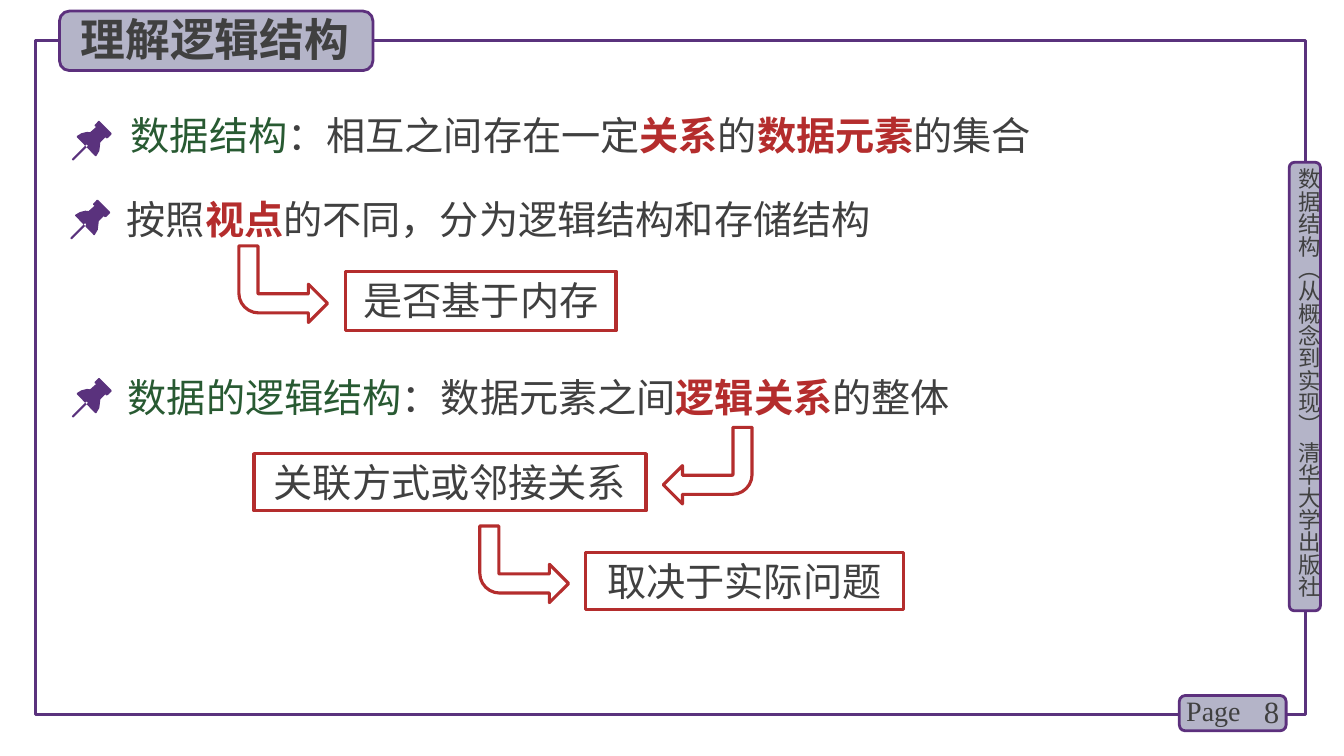
"""Build the slide on understanding logical structure."""
import lxml.etree
import pptx
import pptx.dml.color
import pptx.enum.shapes
import pptx.enum.text
import pptx.oxml.ns
import pptx.util

Pt = pptx.util.Pt
RGBColor = pptx.dml.color.RGBColor
Shape = pptx.enum.shapes.MSO_SHAPE
Align = pptx.enum.text.PP_ALIGN
Anchor = pptx.enum.text.MSO_ANCHOR

PURPLE = RGBColor(0x5A, 0x32, 0x7D)
EDGE = RGBColor(0x5C, 0x30, 0x7D)
LILAC = RGBColor(0xB4, 0xB4, 0xC8)
GRAY = RGBColor(0x40, 0x40, 0x40)
GREEN = RGBColor(0x28, 0x5A, 0x32)
RED = RGBColor(0xB4, 0x2D, 0x2D)

CHINESE = "Noto Sans CJK SC"
LATIN = "Times New Roman"

PIN_HEAD = [
    (28.2, 8.6), (19.6, 0), (19, 0), (16.2, 2.9), (16.2, 3.6), (17.3, 4.3),
    (13, 8.1), (10.8, 7.8), (6.8, 8.8), (3.5, 10.8), (3.5, 11.5),
    (16.7, 25.2), (17.4, 25.2), (19.6, 21.4), (20.3, 15.3), (23.9, 11.7),
    (24.6, 12.4), (25.7, 12.2), (28.4, 9.4),
]
PIN_NEEDLE = [
    (1.2, 28.1), (0.5, 28.1), (0, 27.4), (0.4, 26.8), (10, 17.1),
    (10.5, 16.8), (11.1, 17.2), (11.3, 17.8), (10.8, 18.5),
]


class SlidePainter:
    def __init__(self, page):
        self.page = page

    def shape(self, kind, place, line, width, fill=None):
        shape = self.page.shapes.add_shape(kind, *map(Pt, place))
        shape.shadow.inherit = False
        shape.line.color.rgb = line
        shape.line.width = Pt(width)
        if fill is None:
            shape.fill.background()
        else:
            shape.fill.solid()
            shape.fill.fore_color.rgb = fill
        return shape

    def plate(self, *place):
        return self.shape(Shape.ROUNDED_RECTANGLE, place, EDGE, 2, LILAC)

    def add_spans(self, box, spans, size=28, face=CHINESE, align=Align.LEFT, anchor=Anchor.TOP):
        frame = box.text_frame
        frame.word_wrap = True
        frame.vertical_anchor = anchor
        para = frame.paragraphs[0]
        para.alignment = align
        for text, color, bold in spans:
            span = para.add_run()
            span.text = text
            span.font.size = Pt(size)
            span.font.bold = bold
            span.font.color.rgb = color
            span.font.name = face
            east = lxml.etree.SubElement(span.font._element, pptx.oxml.ns.qn("a:ea"))
            east.set("typeface", face)

    def text(self, place, spans, **style):
        box = self.page.shapes.add_textbox(*map(Pt, place))
        self.add_spans(box, spans, **style)
        return box

    def side_text(self, place, spans, size):
        box = self.text(place, spans, size=size)
        frame = box.text_frame
        frame.margin_left = frame.margin_right = 0
        frame.margin_top = frame.margin_bottom = 0
        frame._txBody.bodyPr.set("vert", "eaVert")

    def pin(self, left, top):
        def placed(points):
            return [(Pt(left + x), Pt(top + y)) for x, y in points]

        head, needle = placed(PIN_HEAD), placed(PIN_NEEDLE)
        builder = self.page.shapes.build_freeform(*head[0])
        builder.add_line_segments(head[1:])
        builder.move_to(*needle[0])
        builder.add_line_segments(needle[1:])
        pin = builder.convert_to_shape()
        pin.shadow.inherit = False
        pin.fill.solid()
        pin.fill.fore_color.rgb = PURPLE
        pin.line.fill.background()

    def note(self, place, text):
        box = self.shape(Shape.RECTANGLE, place, RED, 2.25)
        self.add_spans(box, [(text, GRAY, False)], align=Align.CENTER)

    def arrow(self, left, top, to_left=False):
        arrow = self.shape(Shape.BENT_ARROW, (left, top, 63.4, 54.7), RED, 2.25)
        arrow.adjustments[3] = 0.26
        frame = arrow.element.spPr.find(pptx.oxml.ns.qn("a:xfrm"))
        frame.set("flipV", "1")
        if to_left:
            frame.set("flipH", "1")


def main():
    deck = pptx.Presentation()
    deck.slide_width, deck.slide_height = Pt(960), Pt(540)
    painter = SlidePainter(deck.slides.add_slide(deck.slide_layouts[6]))

    painter.shape(Shape.RECTANGLE, (25.2, 28.8, 907.2, 481.7), PURPLE, 2.25)
    painter.plate(920.9, 115.9, 22.3, 320.4)
    painter.side_text((925.2, 120.2, 19.4, 323.3),
                      [("数据结构（从概念到实现） 清华大学出版社", GRAY, False)], 16)
    painter.plate(842.4, 496.8, 76.3, 25.2)
    painter.text((878.4, 493.9, 42.5, 28.8), [("8", GRAY, False)],
                 size=22, face=LATIN, align=Align.RIGHT, anchor=Anchor.MIDDLE)
    painter.text((840.2, 491.8, 56.2, 31.7), [("Page", GRAY, False)], size=20, face=LATIN)
    painter.plate(42.5, 7.9, 223.9, 42.5)
    painter.text((50.4, 5, 217.4, 46.1), [("理解逻辑结构", GRAY, True)], size=32)

    points = [
        ((51.4, 86.4), (86.4, 76.3, 691.2, 43.2), [
            ("数据结构", GREEN, False), ("：相互之间存在一定", GRAY, False),
            ("关系", RED, True), ("的", GRAY, False),
            ("数据元素", RED, True), ("的集合", GRAY, False)]),
        ((50.3, 142.7), (83.5, 136.1, 673.2, 45.4), [
            ("按照", GRAY, False), ("视点", RED, True),
            ("的不同，分为逻辑结构和存储结构", GRAY, False)]),
        ((51.4, 270), (84.2, 262.8, 797.8, 45.4), [
            ("数据的逻辑结构", GREEN, False), ("：数据元素之间", GRAY, False),
            ("逻辑关系", RED, True), ("的整体", GRAY, False)]),
    ]
    for pin, place, spans in points:
        painter.text(place, spans)
        painter.pin(*pin)

    notes = [
        ((247, 193.7, 193, 42.5), "是否基于内存", (170.6, 175.7), False),
        ((181.4, 324, 280.1, 41), "关联方式或邻接关系", (473.8, 305.3), True),
        ((418.3, 394.6, 226.8, 41), "取决于实际问题", (342.7, 375.8), False),
    ]
    for place, text, corner, to_left in notes:
        painter.note(place, text)
        painter.arrow(*corner, to_left)

    deck.save("out.pptx")


if __name__ == "__main__":
    main()
